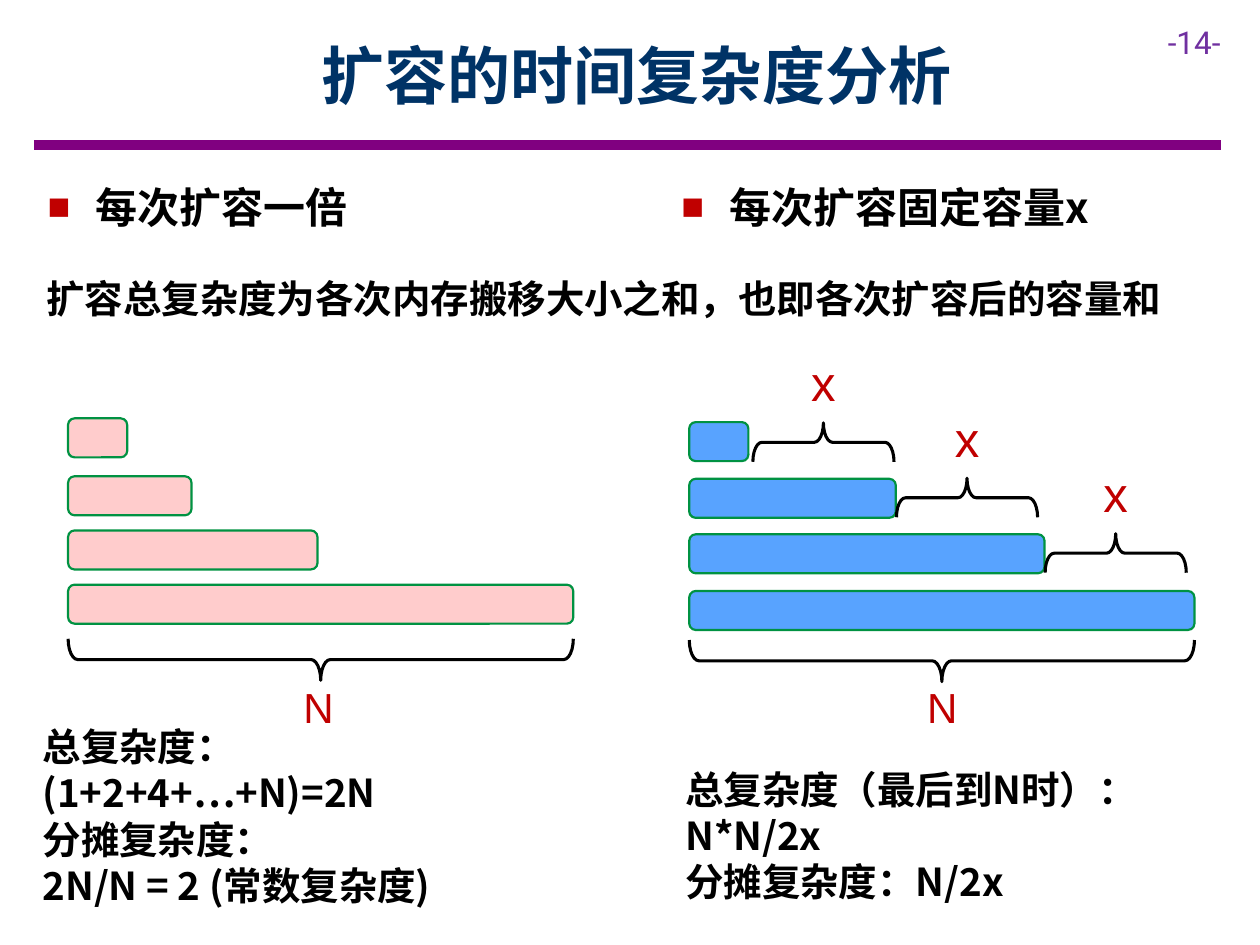
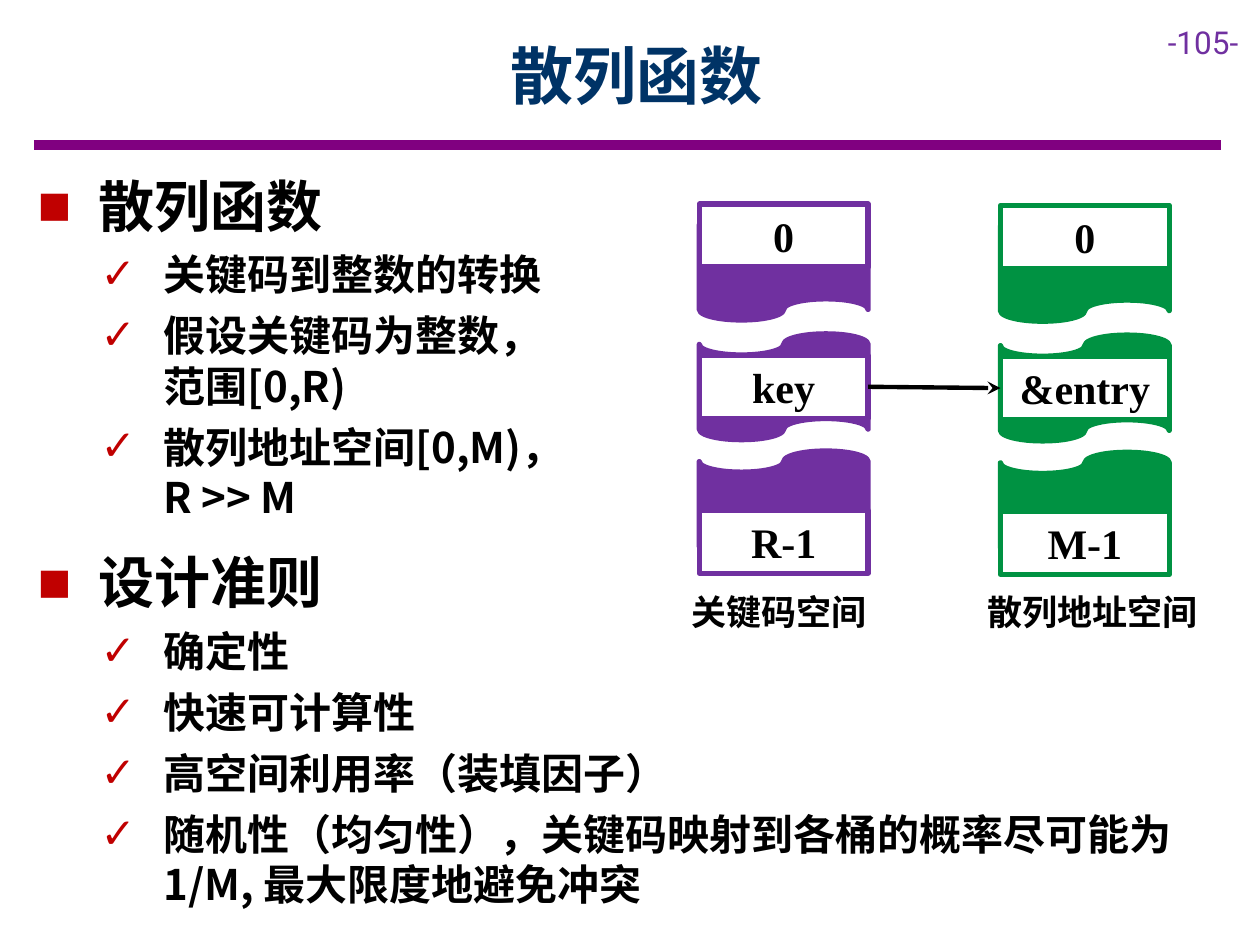
from typing import NamedTuple, Optional

from lxml import etree
from pptx import Presentation
from pptx import util as u
from pptx.dml.color import RGBColor
from pptx.enum import shapes, text
from pptx.oxml import ns

# Scale: 100 px to the inch
PX = 9144

NAVY = RGBColor(0x00, 0x33, 0x66)
BAND = RGBColor(0x80, 0x00, 0x80)
PURPLE = RGBColor(0x70, 0x30, 0xA0)
GREEN = RGBColor(0x00, 0x92, 0x42)
RED = RGBColor(0xC0, 0x00, 0x00)
PINK = RGBColor(0xFF, 0xCC, 0xCC)
BLUE = RGBColor(0x58, 0xA3, 0xFF)
BLACK = RGBColor(0, 0, 0)
WHITE = RGBColor(0xFF, 0xFF, 0xFF)

HAN, SANS, SERIF, NUMBER = "Noto Sans CJK SC", "Arial", "Times New Roman", "Roboto"
SHAPE = shapes.MSO_SHAPE
LEFT, CENTER = text.PP_ALIGN.LEFT, text.PP_ALIGN.CENTER
TOP, MIDDLE = text.MSO_ANCHOR.TOP, text.MSO_ANCHOR.MIDDLE


class Box(NamedTuple):
    left: int
    top: int
    width: int
    height: int

    def emu(self) -> list[int]:
        return [n * PX for n in self]


class Bullet(NamedTuple):
    char: str
    margin: int
    hanging: int
    percent: int = 100


class Para(NamedTuple):
    text: str
    size: int
    bullet: Optional[Bullet] = None


class BarChart(NamedTuple):
    left: int
    tops: list[int]
    widths: list[int]
    fill: RGBColor
    brace_top: int
    label_left: int


class Column(NamedTuple):
    left: int
    top: int
    color: RGBColor
    cells: list[str]
    caption: str
    caption_box: Box


HEADER = Bullet("■", 38, 38, 90)
TOPIC = Bullet("■", 48, 48)
CHECK = Bullet("✓", 100, 50)


# Text
def add_bullet(p, bullet: Bullet) -> None:
    pPr = p._p.get_or_add_pPr()
    pPr.set("marL", str(bullet.margin * PX))
    pPr.set("indent", str(-bullet.hanging * PX))
    color = etree.SubElement(pPr, ns.qn("a:buClr"))
    etree.SubElement(color, ns.qn("a:srgbClr"), val=str(RED))
    etree.SubElement(pPr, ns.qn("a:buSzPct"), val=str(bullet.percent * 1000))
    etree.SubElement(pPr, ns.qn("a:buFont"), typeface=SANS)
    etree.SubElement(pPr, ns.qn("a:buChar"), char=bullet.char)


def write(tf, paras: list[Para], *, font: str = HAN, color: RGBColor = BLACK,
          bold: bool = True, align=LEFT, anchor=TOP, wrap: bool = True,
          leading: float = 0, after: int = 0) -> None:
    tf.word_wrap = wrap
    tf.vertical_anchor = anchor
    for i, para in enumerate(paras):
        p = tf.paragraphs[0] if i == 0 else tf.add_paragraph()
        p.alignment = align
        p.space_after = u.Pt(after)
        if leading:
            p.line_spacing = u.Pt(round(para.size * leading, 1))
        if para.bullet:
            add_bullet(p, para.bullet)
        r = p.add_run()
        r.text = para.text
        r.font.size = u.Pt(para.size)
        r.font.bold = bold
        r.font.color.rgb = color
        r.font.name = font
        etree.SubElement(r._r.get_or_add_rPr(), ns.qn("a:ea"), typeface=font)


def add_text(s, box: Box, paras: list[Para], **fmt):
    tb = s.shapes.add_textbox(*box.emu())
    write(tb.text_frame, paras, **fmt)
    return tb


def add_body(s, box: Box, paras: list[Para], **fmt):
    return add_text(s, box, paras, leading=1.2, **fmt)


# Shapes
def add_shape(s, kind, box: Box, fill: Optional[RGBColor], line: RGBColor, width: float):
    sp = s.shapes.add_shape(kind, *box.emu())
    sp.shadow.inherit = False
    if fill is None:
        sp.fill.background()
    else:
        sp.fill.solid()
        sp.fill.fore_color.rgb = fill
    sp.line.color.rgb = line
    sp.line.width = u.Pt(width)
    return sp


def add_line(s, x1: int, y1: int, x2: int, y2: int, color: RGBColor, width: float):
    c = s.shapes.add_connector(shapes.MSO_CONNECTOR.STRAIGHT,
                               *(n * PX for n in (x1, y1, x2, y2)))
    c.line.color.rgb = color
    c.line.width = u.Pt(width)
    etree.SubElement(c._element.spPr, ns.qn("a:effectLst"))
    return c


def add_brace(s, seen: Box, rotation: int) -> None:
    """Draw a brace covering the seen box: rotation 270 points up, 90 down."""
    shift = (seen.width - seen.height) // 2
    frame = Box(seen.left + shift, seen.top - shift, seen.height, seen.width)
    sp = add_shape(s, SHAPE.RIGHT_BRACE, frame, None, BLACK, 1.75)
    sp.rotation = rotation
    sp.adjustments[0] = 0.232


# Shared slide frame
def add_slide(prs, title: str, number: int):
    s = prs.slides.add_slide(prs.slide_layouts[6])
    add_line(s, 27, 115, 969, 115, BAND, 6)
    add_text(s, Box(917, 13, 83, 40), [Para(f"-{number}-", 18)],
             font=NUMBER, color=PURPLE, bold=False)
    add_text(s, Box(90, 9, 831, 100), [Para(title, 36)],
             color=NAVY, align=CENTER, anchor=MIDDLE)
    return s


# Slide 1: growth of the capacity
def add_symbol(s, box: Box, symbol: str, size: int) -> None:
    add_text(s, box, [Para(symbol, size)], font=SANS, color=RED, bold=False)


def add_bars(s, chart: BarChart) -> None:
    for top, width in zip(chart.tops, chart.widths):
        add_shape(s, SHAPE.ROUNDED_RECTANGLE, Box(chart.left, top, width, 31),
                  chart.fill, GREEN, 1.25)
    add_brace(s, Box(chart.left, chart.brace_top, 401, 33), 90)
    add_symbol(s, Box(chart.label_left, 536, 47, 50), "N", 24)


def build_growth(prs) -> None:
    s = add_slide(prs, "扩容的时间复杂度分析", 14)
    for box, header in ((Box(28, 139, 307, 44), "每次扩容一倍"),
                        (Box(531, 139, 362, 44), "每次扩容固定容量x")):
        add_body(s, box, [Para(header, 24, HEADER)])

    add_bars(s, BarChart(54, [332, 378, 421, 464], [47, 98, 198, 401], PINK, 507, 231))
    add_bars(s, BarChart(547, [335, 380, 424, 469], [47, 164, 282, 401], BLUE, 508, 726))

    # Each step adds x
    for left, top in ((598, 335), (712, 379), (830, 423)):
        add_brace(s, Box(left, top, 112, 31), 270)
        add_symbol(s, Box(left + 36, top - 60, 47, 57), "x", 28)

    notes = (
        (Box(27, 213, 907, 47),
         ["扩容总复杂度为各次内存搬移大小之和，也即各次扩容后的容量和"]),
        (Box(24, 569, 425, 158),
         ["总复杂度：", "(1+2+4+…+N)=2N", "分摊复杂度：", "2N/N = 2 (常数复杂度)"]),
        (Box(534, 603, 431, 121),
         ["总复杂度（最后到N时）：N*N/2x", "分摊复杂度：N/2x"]),
    )
    for box, lines in notes:
        add_body(s, box, [Para(line, 22) for line in lines])


# Slide 2: hash function
def add_outline(s, box: Box, topic: str, points: list[str]) -> None:
    paras = [Para(topic, 32, TOPIC)] + [Para(point, 24, CHECK) for point in points]
    add_body(s, box, paras, after=6)


def add_column(s, col: Column) -> list:
    for dy in (103, 8, 196):
        add_shape(s, SHAPE.FLOWCHART_PUNCHED_TAPE, Box(col.left, col.top + dy, 134, 84),
                  col.color, col.color, 3)
    cells = []
    for dy, label in zip((0, 120, 243), col.cells):
        sp = add_shape(s, SHAPE.RECTANGLE, Box(col.left, col.top + dy, 134, 50),
                       WHITE, col.color, 3)
        write(sp.text_frame, [Para(label, 24)], font=SERIF, align=CENTER)
        cells.append(sp)
    add_body(s, col.caption_box, [Para(col.caption, 20)], wrap=False)
    return cells


def build_hash(prs) -> None:
    s = add_slide(prs, "散列函数", 105)
    add_outline(s, Box(20, 430, 955, 300), "设计准则",
                ["确定性", "快速可计算性", "高空间利用率（装填因子）",
                 "随机性（均匀性），关键码映射到各桶的概率尽可能为1/M, 最大限度地避免冲突"])
    add_outline(s, Box(20, 131, 441, 291), "散列函数",
                ["关键码到整数的转换", "假设关键码为整数，范围[0,R)",
                 "散列地址空间[0,M)，R >> M"])

    keys = add_column(s, Column(555, 162, PURPLE, ["0", "key", "R-1"],
                                "关键码空间", Box(539, 464, 160, 44)))
    entries = add_column(s, Column(794, 163, GREEN, ["0", "&entry", "M-1"],
                                   "散列地址空间", Box(774, 464, 188, 44)))

    # Arrow from the key to its entry
    arrow = add_line(s, 689, 307, 794, 308, BLACK, 2.5)
    arrow.begin_connect(keys[1], 3)
    arrow.end_connect(entries[1], 1)
    etree.SubElement(arrow.line._get_or_add_ln(), ns.qn("a:tailEnd"), type="stealth")


def main() -> None:
    prs = Presentation()
    prs.slide_width, prs.slide_height = 1000 * PX, 750 * PX
    build_growth(prs)
    build_hash(prs)
    prs.save("out.pptx")


if __name__ == "__main__":
    main()
